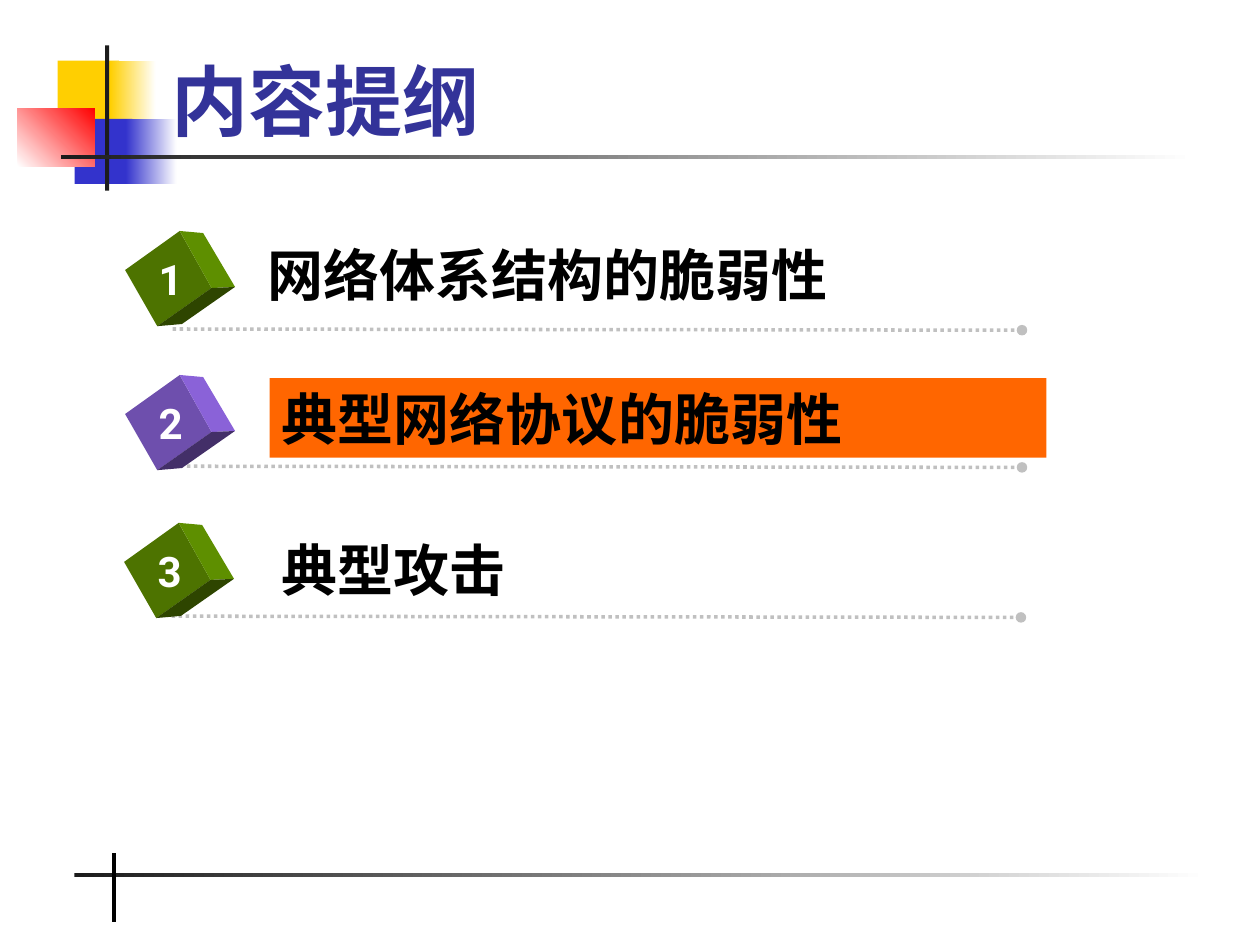
from dataclasses import dataclass

from lxml import etree
from pptx import Presentation
from pptx.dml.color import RGBColor
from pptx.enum.dml import MSO_LINE
from pptx.enum.shapes import MSO_CONNECTOR, MSO_SHAPE
from pptx.enum.text import MSO_ANCHOR, PP_ALIGN
from pptx.oxml.ns import qn
from pptx.util import Pt


@dataclass(frozen=True)
class Theme:
    white: str = "FFFFFF"
    black: str = "000000"
    ink: str = "1C1C1C"
    yellow: str = "FFCF01"
    blue: str = "3333CC"
    red: str = "FF0000"
    title: str = "333399"
    dots: str = "C0C0C0"
    highlight: str = "FF6600"
    # Cube faces: front, side, underside
    green: tuple = ("4D7300", "5E8F00", "2E4500")
    purple: tuple = ("6E4FAD", "8A62D8", "432F68")
    serif: str = "Times New Roman"
    sans: str = "Roboto"
    title_size: int = 44
    topic_size: int = 32
    number_size: int = 24


THEME = Theme()


def write(shape, text, *, size, color, font=THEME.serif, align=PP_ALIGN.LEFT,
          anchor=MSO_ANCHOR.TOP, wrap=True):
    frame = shape.text_frame
    frame.word_wrap = wrap
    frame.vertical_anchor = anchor
    paragraph = frame.paragraphs[0]
    paragraph.alignment = align
    run = paragraph.add_run()
    run.text = text
    run.font.name = font
    run.font.size = Pt(size)
    run.font.bold = True
    run.font.color.rgb = RGBColor.from_string(color)


def paint(shape, color):
    shape.shadow.inherit = False
    shape.line.fill.background()
    shape.fill.solid()
    shape.fill.fore_color.rgb = RGBColor.from_string(color)


def add_block(slide, x, y, width, height, color, fade_to=None, angle=0):
    block = slide.shapes.add_shape(
        MSO_SHAPE.RECTANGLE, Pt(x), Pt(y), Pt(width), Pt(height))
    paint(block, color)
    if fade_to:
        block.fill.gradient()
        block.fill.gradient_angle = angle
        for stop, shade, place in zip(block.fill.gradient_stops, (color, fade_to), (0, 1)):
            stop.color.rgb = RGBColor.from_string(shade)
            stop.position = place
    return block


def add_line(slide, x1, y1, x2, y2, color, width):
    line = slide.shapes.add_connector(
        MSO_CONNECTOR.STRAIGHT, Pt(x1), Pt(y1), Pt(x2), Pt(y2))
    line.line.color.rgb = RGBColor.from_string(color)
    line.line.width = Pt(width)
    etree.SubElement(line._element.spPr, qn("a:effectLst"))
    return line


def add_emblem(slide, x, y):
    """Overlapping colour blocks, crossed by a bar and a fading rule."""
    t = THEME
    add_block(slide, x + 23, y + 8.7, 35, 37.5, t.yellow)
    add_block(slide, x + 53, y + 8.7, 26, 37.5, t.yellow, t.white)
    add_block(slide, x + 32.7, y + 42, 33, 37.2, t.blue)
    add_block(slide, x + 62, y + 42, 29, 37.2, t.blue, t.white)
    add_block(slide, x, y + 35.8, 44.2, 33.4, t.white, t.red, 45)
    add_block(slide, x + 50, y, 2.4, 83, t.ink)
    add_block(slide, x + 25, y + 62.5, 648, 2.3, t.ink, t.white)


def add_footer(slide, x, y):
    add_block(slide, x, y + 11.5, 648, 2.3, THEME.ink, THEME.white)
    add_line(slide, x + 22.5, y, x + 22.5, y + 39.5, THEME.black, 2.25)


def add_title(slide, x, y, width, height):
    title = slide.shapes.title
    title.left, title.top, title.width, title.height = map(Pt, (x, y, width, height))
    write(title, "内容提纲", size=THEME.title_size, color=THEME.title,
          anchor=MSO_ANCHOR.BOTTOM)
    # Bring the title in front of the emblem
    slide.shapes._spTree.append(title._element)


def add_cube(slide, x, y, number, shades):
    left, top, back = (0, 22.3), (31.2, 0), (44.6, 1.2)
    right, middle, bottom, base = (62.8, 32), (49.4, 32.6), (18.4, 54.4), (32.5, 53.2)
    faces = ((left, top, middle, bottom),
             (top, back, right, middle),
             (middle, right, base, bottom))
    for corners, shade in zip(faces, shades):
        points = [(Pt(x + dx), Pt(y + dy)) for dx, dy in corners]
        outline = slide.shapes.build_freeform(*points[0])
        outline.add_line_segments(points[1:], close=True)
        paint(outline.convert_to_shape(), shade)
    label = slide.shapes.add_textbox(Pt(x + 12), Pt(y + 9.2), Pt(28), Pt(36))
    write(label, number, size=THEME.number_size, color=THEME.white,
          font=THEME.sans, align=PP_ALIGN.CENTER, wrap=False)


def add_topic(slide, x, y, number, topic, shades, *, indent, drop, rule_drop,
              font=THEME.serif, highlight=None):
    """One agenda row: dotted rule, numbered cube and topic."""
    rule = add_line(slide, x + 27.2, y + rule_drop, x + 512.5, y + rule_drop + 0.7,
                    THEME.dots, 2)
    rule.line.dash_style = MSO_LINE.ROUND_DOT
    etree.SubElement(rule.line._get_or_add_ln(), qn("a:tailEnd"), type="oval")
    add_cube(slide, x, y, number, shades)
    place = (x + indent, y + drop, 444, 45.5)
    if highlight:
        label = add_block(slide, *place, highlight)
    else:
        label = slide.shapes.add_textbox(*map(Pt, place))
    write(label, topic, size=THEME.topic_size, color=THEME.black, font=font)


def main():
    deck = Presentation()
    deck.slide_width, deck.slide_height = Pt(720), Pt(540)
    slide = deck.slides.add_slide(deck.slide_layouts[5])

    add_emblem(slide, 10, 26)
    add_footer(slide, 42.5, 487.5)
    add_title(slide, 90.7, 11.5, 613.5, 75.6)

    # Agenda
    x = 71.5
    add_topic(slide, x, 132, "1", "网络体系结构的脆弱性", THEME.green,
              indent=74, drop=2, rule_drop=56)
    add_topic(slide, x, 214.3, "2", "典型网络协议的脆弱性", THEME.purple,
              indent=82.5, drop=1.7, rule_drop=52.1, highlight=THEME.highlight)
    add_topic(slide, x - 0.6, 298.8, "3", "典型攻击", THEME.green,
              indent=83, drop=3.5, rule_drop=53.3, font=THEME.sans)

    deck.save("out.pptx")


if __name__ == "__main__":
    main()
